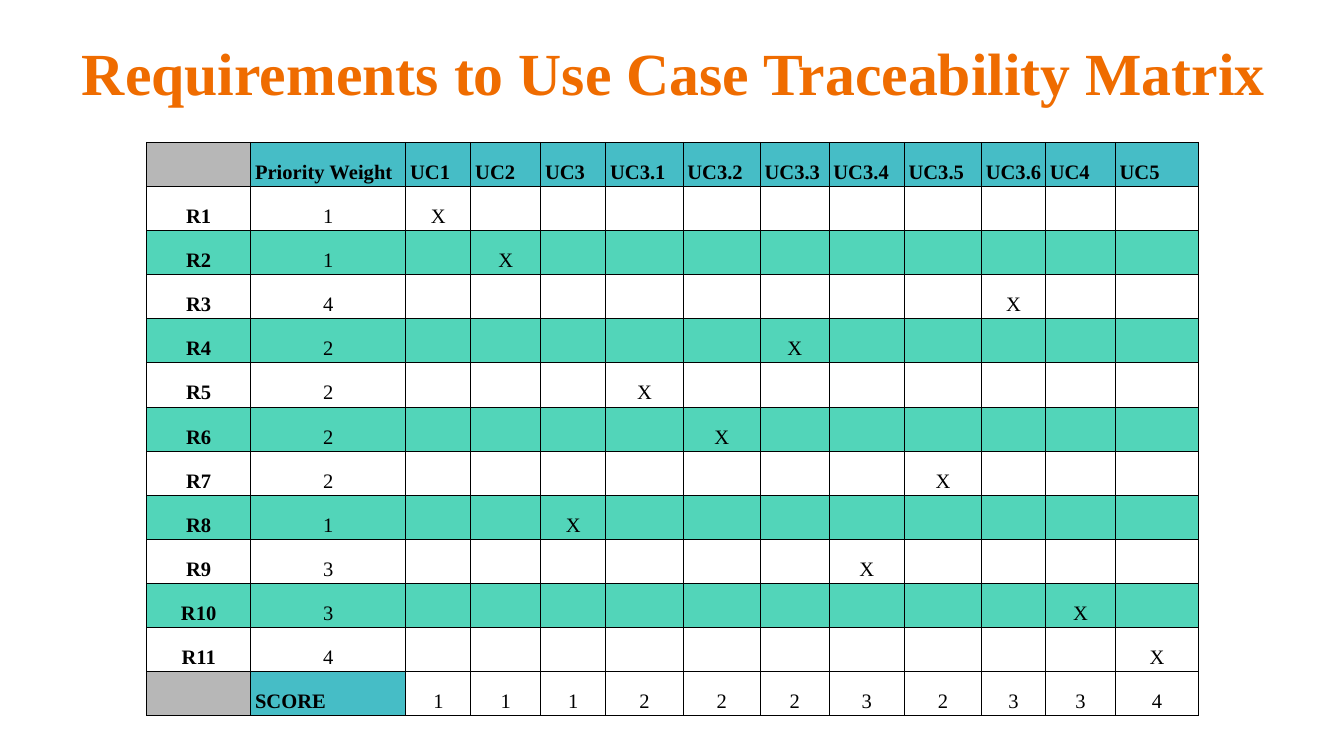
from lxml import etree
from pptx import Presentation
from pptx.dml.color import RGBColor
from pptx.enum.text import MSO_ANCHOR, PP_ALIGN
from pptx.oxml.ns import qn
from pptx.util import Cm, Pt

CENTER, LEFT = PP_ALIGN.CENTER, PP_ALIGN.LEFT
MIDDLE, BOTTOM = MSO_ANCHOR.MIDDLE, MSO_ANCHOR.BOTTOM

ORANGE = RGBColor(0xEF, 0x6C, 0x00)
BLACK = RGBColor(0x00, 0x00, 0x00)
WHITE = RGBColor(0xFF, 0xFF, 0xFF)
GRAY = RGBColor(0xB7, 0xB7, 0xB7)
BLUE = RGBColor(0x46, 0xBD, 0xC6)
GREEN = RGBColor(0x52, 0xD5, 0xB9)

FONT = "Times New Roman"
CELL_SIZE = Pt(11)
BORDER_WIDTH = Pt(0.6)
TABLE_HEIGHT = Cm(10.85)
COLUMN_WIDTHS = [1.97, 2.93, 1.23, 1.32, 1.23, 1.46, 1.46,
                 1.3, 1.42, 1.46, 1.21, 1.32, 1.57]

USE_CASES = ["UC1", "UC2", "UC3", "UC3.1", "UC3.2", "UC3.3",
             "UC3.4", "UC3.5", "UC3.6", "UC4", "UC5"]
# Priority weight and use case of R1, R2, ...
REQUIREMENTS = [(1, "UC1"), (1, "UC2"), (4, "UC3.6"), (2, "UC3.3"),
                (2, "UC3.1"), (2, "UC3.2"), (2, "UC3.5"), (1, "UC3"),
                (3, "UC3.4"), (3, "UC4"), (4, "UC5")]
SCORES = [1, 1, 1, 2, 2, 2, 3, 2, 3, 3, 4]


def format_runs(paragraph, size, color, bold):
    for run in paragraph.runs:
        run.font.name = FONT
        run.font.size = size
        run.font.bold = bold
        run.font.color.rgb = color


def add_title(slide, text):
    box = slide.shapes.add_textbox(Cm(0.94), Cm(0.38), Cm(23.6), Cm(1.96))
    frame = box.text_frame
    frame.word_wrap = True
    frame.vertical_anchor = MIDDLE
    frame.margin_left = frame.margin_right = Cm(0.25)
    frame.margin_top = frame.margin_bottom = Cm(0.25)
    frame.text = text
    paragraph = frame.paragraphs[0]
    paragraph.alignment = CENTER
    format_runs(paragraph, Pt(32), ORANGE, True)


def add_borders(cell):
    properties = cell._tc.get_or_add_tcPr()
    for side in ("a:lnL", "a:lnR", "a:lnT", "a:lnB"):
        line = etree.SubElement(properties, qn(side), w=str(BORDER_WIDTH))
        fill = etree.SubElement(line, qn("a:solidFill"))
        etree.SubElement(fill, qn("a:srgbClr"), val=str(BLACK))


def fill_cell(cell, text, color, bold, alignment):
    add_borders(cell)
    cell.fill.solid()
    cell.fill.fore_color.rgb = color
    cell.vertical_anchor = BOTTOM
    cell.margin_left = cell.margin_right = Cm(0.08)
    cell.margin_top = cell.margin_bottom = Cm(0.05)
    paragraph = cell.text_frame.paragraphs[0]
    paragraph.alignment = alignment
    paragraph.line_spacing = 1.15
    if text:
        paragraph.text = text
        format_runs(paragraph, CELL_SIZE, BLACK, bold)
    else:
        # Keeps the default 18 pt from stretching rows with empty cells
        etree.SubElement(paragraph._p, qn("a:endParaRPr"),
                         sz=str(int(CELL_SIZE.pt * 100)))


def matrix_rows():
    rows = [["", "Priority Weight", *USE_CASES]]
    for number, (weight, target) in enumerate(REQUIREMENTS, start=1):
        marks = ["X" if name == target else "" for name in USE_CASES]
        rows.append([f"R{number}", str(weight), *marks])
    rows.append(["", "SCORE", *map(str, SCORES)])
    return rows


def cell_style(row, column, last_row):
    """Return fill colour, bold and alignment of a cell."""
    if row in (0, last_row) and column == 0:
        return GRAY, True, CENTER
    if row == 0 or (row == last_row and column == 1):
        return BLUE, True, LEFT
    striped = row % 2 == 0 and row != last_row
    return GREEN if striped else WHITE, column == 0, CENTER


def add_matrix(slide):
    rows = matrix_rows()
    frame = slide.shapes.add_table(len(rows), len(COLUMN_WIDTHS), Cm(2.77),
                                   Cm(2.69), Cm(sum(COLUMN_WIDTHS)),
                                   TABLE_HEIGHT)
    table = frame.table
    for column, width in zip(table.columns, COLUMN_WIDTHS):
        column.width = Cm(width)
    for row in table.rows:
        row.height = TABLE_HEIGHT // len(rows)
    for row, texts in enumerate(rows):
        for column, text in enumerate(texts):
            fill_cell(table.cell(row, column), text,
                      *cell_style(row, column, len(rows) - 1))


def main():
    presentation = Presentation()
    presentation.slide_width = Cm(25.4)
    presentation.slide_height = Cm(14.29)
    slide = presentation.slides.add_slide(presentation.slide_layouts[6])
    add_title(slide, "Requirements to Use Case Traceability Matrix")
    add_matrix(slide)
    presentation.save("out.pptx")


if __name__ == "__main__":
    main()
